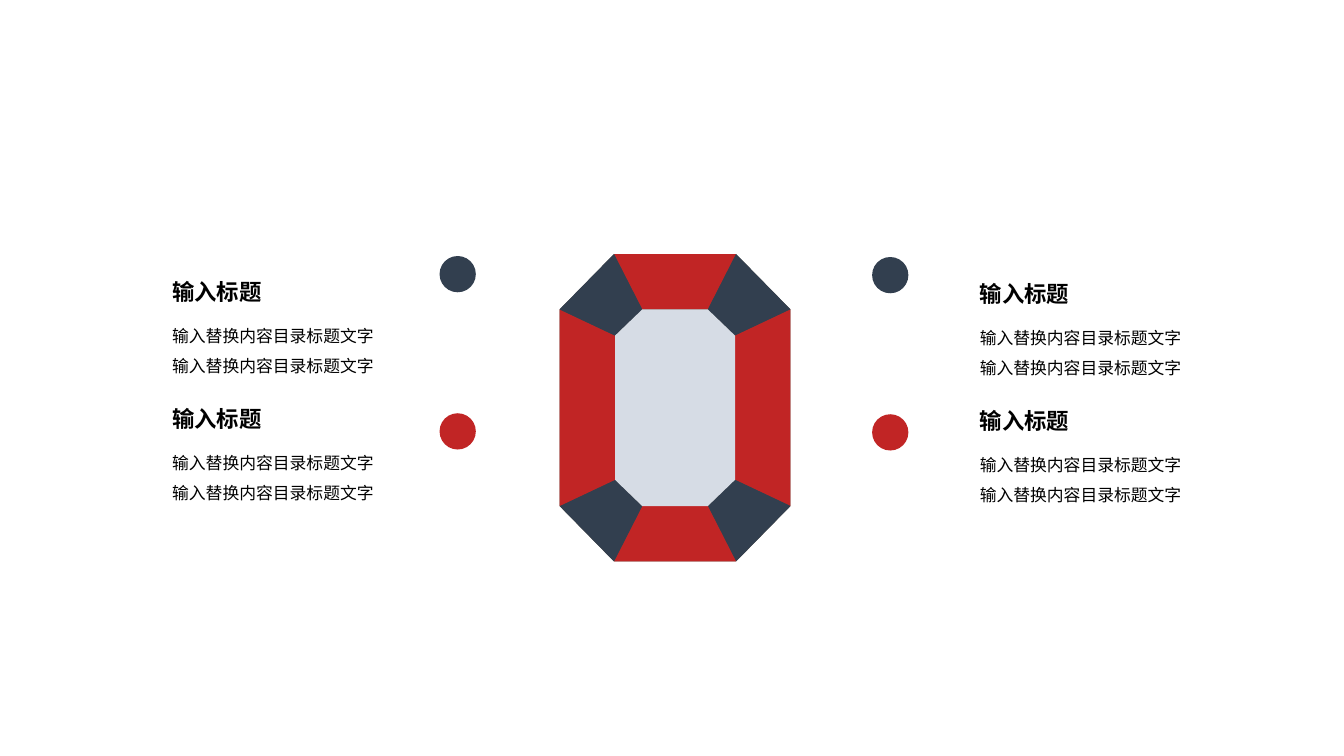
import pptx
import pptx.dml.color
import pptx.enum.shapes
import pptx.enum.text
import pptx.oxml
import pptx.oxml.ns
import pptx.util
from pptx.util import Inches

FONT = "Noto Sans CJK SC"
RED, NAVY, PALE, BROWN, BLACK = "C12525", "323F4F", "D6DCE5", "594E41", "000000"
HEADING = "输入标题"
BODY = "输入替换内容目录标题文字" * 2
COLUMNS = [
    {"text_x": 1.61, "dot_x": 4.36, "text_y": 2.71, "dot_y": 2.54},
    {"text_x": 9.62, "dot_x": 8.65, "text_y": 2.73, "dot_y": 2.55},
]
ROWS = [(HEADING, BODY, NAVY), (HEADING, BODY, RED)]
TEXT_STEP, DOT_STEP, DOT_SIZE = 1.26, 1.56, 0.36
OUTER_X, INNER_X = (5.55, 6.09, 7.3, 7.84), (6.1, 6.37, 7.02, 7.29)
OUTER_Y, INNER_Y = (2.52, 3.07, 5.02, 5.57), (3.07, 3.33, 4.76, 5.02)


def octagon(xs, ys):
    """Return eight corners clockwise from the left end of the top edge."""
    x0, x1, x2, x3 = xs
    y0, y1, y2, y3 = ys
    return [(x1, y0), (x2, y0), (x3, y1), (x3, y2),
            (x2, y3), (x1, y3), (x0, y2), (x0, y1)]


def color(value):
    """Turn a hex string into a colour."""
    return pptx.dml.color.RGBColor.from_string(value)


def paint(sp, fill):
    """Give a shape a flat fill without line or shadow."""
    sp.shadow.inherit = False
    sp.fill.solid()
    sp.fill.fore_color.rgb = color(fill)
    sp.line.fill.background()


def add_polygon(s, points, fill):
    """Draw a closed filled polygon through points in inches."""
    corners = [(Inches(x), Inches(y)) for x, y in points]
    builder = s.shapes.build_freeform(*corners[0])
    builder.add_line_segments(corners[1:], close=True)
    paint(builder.convert_to_shape(), fill)


def add_text(s, text, x, y, w, h, size=12, bold=False, spacing=1.0):
    """Add a wrapped text box with one formatted paragraph."""
    tf = s.shapes.add_textbox(Inches(x), Inches(y), Inches(w), Inches(h)).text_frame
    tf.word_wrap = True
    tf.auto_size = pptx.enum.text.MSO_AUTO_SIZE.SHAPE_TO_FIT_TEXT
    p = tf.paragraphs[0]
    p.line_spacing = spacing
    r = p.add_run()
    r.text = text
    r.font.size = pptx.util.Pt(size)
    r.font.bold = bold
    r.font.name = FONT
    r.font.color.rgb = color(BLACK)
    ea = pptx.oxml.parse_xml(f'<a:ea {pptx.oxml.ns.nsdecls("a")} typeface="{FONT}"/>')
    r.font._element.find(pptx.oxml.ns.qn("a:latin")).addnext(ea)


def add_gem(s):
    """Draw the gem as a base, eight alternating facets and a centre."""
    outer, inner = octagon(OUTER_X, OUTER_Y), octagon(INNER_X, INNER_Y)
    add_polygon(s, outer, BROWN)
    for i in range(8):
        j = (i + 1) % 8
        add_polygon(s, [outer[i], outer[j], inner[j], inner[i]], (RED, NAVY)[i % 2])
    add_polygon(s, inner, PALE)


def add_column(s, column):
    """Add the dots, headings and body texts of one side."""
    for i, (heading, body, fill) in enumerate(ROWS):
        dot = s.shapes.add_shape(
            pptx.enum.shapes.MSO_SHAPE.OVAL, Inches(column["dot_x"]),
            Inches(column["dot_y"] + i * DOT_STEP), Inches(DOT_SIZE), Inches(DOT_SIZE))
        paint(dot, fill)
        x, y = column["text_x"], column["text_y"] + i * TEXT_STEP
        add_text(s, heading, x, y, 1.19, 0.37, size=16, bold=True)
        add_text(s, body, x, y + 0.37, 2.2, 1.01, spacing=1.5)


prs = pptx.Presentation()
prs.slide_width, prs.slide_height = Inches(13.33), Inches(7.5)
s = prs.slides.add_slide(prs.slide_layouts[6])
add_gem(s)
for column in COLUMNS:
    add_column(s, column)
prs.save("out.pptx")
